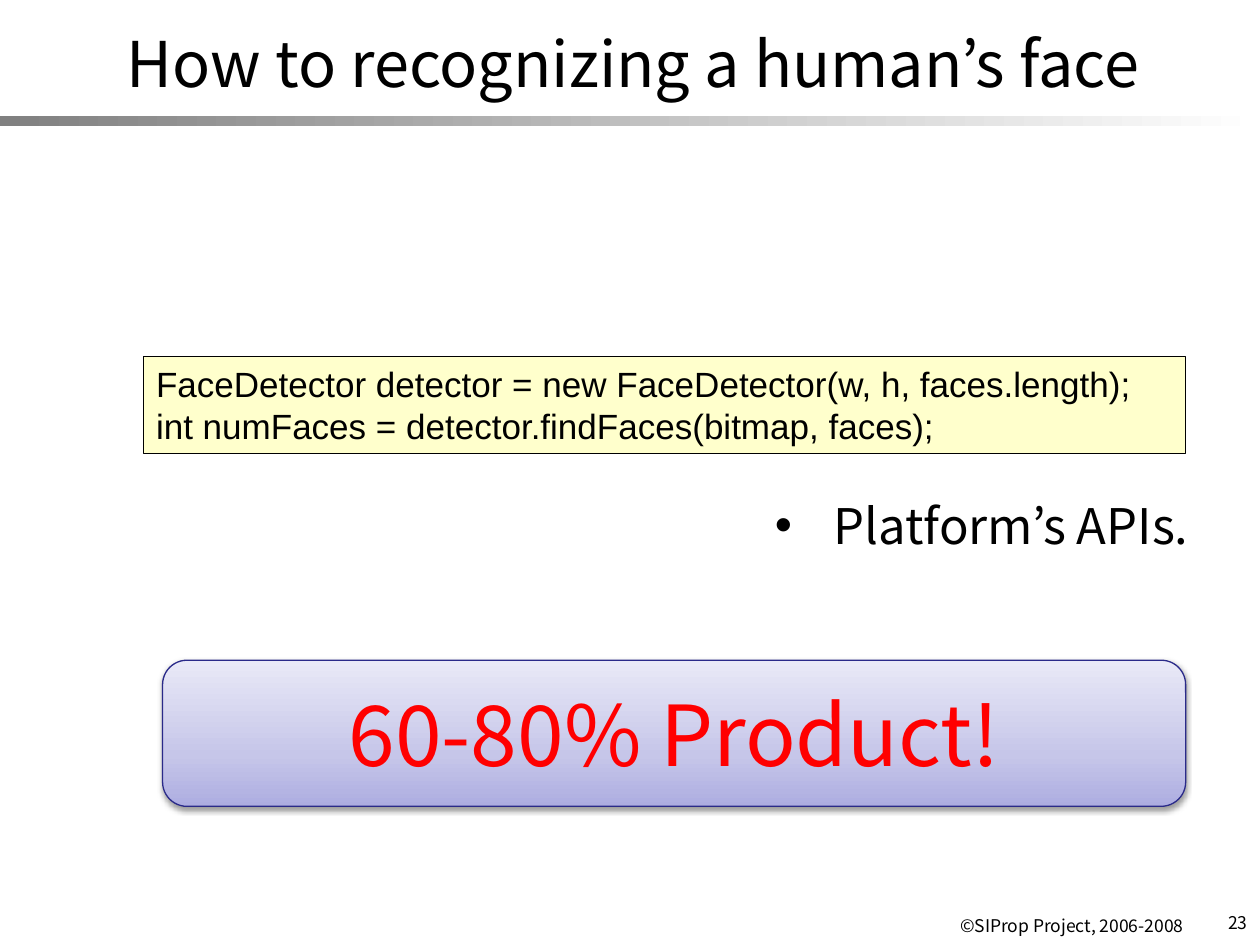
from copy import deepcopy

from lxml.etree import SubElement
from pptx import Presentation
from pptx.dml.color import RGBColor
from pptx.enum.shapes import MSO_SHAPE
from pptx.enum.text import MSO_ANCHOR, PP_ALIGN
from pptx.oxml.ns import qn
from pptx.util import Inches, Pt

BLACK = RGBColor(0, 0, 0)
WHITE = RGBColor(255, 255, 255)
GRAY = RGBColor(128, 128, 128)
RED = RGBColor(255, 0, 0)
CREAM = RGBColor(255, 255, 204)
NAVY = RGBColor(42, 42, 137)
LILAC = RGBColor(173, 173, 225)
PALE = RGBColor(198, 198, 233)
MIST = RGBColor(233, 233, 247)
SANS = "Noto Sans CJK JP"
CODE = "Arial"


def write(shape, text, size, font=SANS, color=BLACK, align=PP_ALIGN.LEFT,
          anchor=MSO_ANCHOR.TOP):
    frame = shape.text_frame
    frame.word_wrap = True
    frame.vertical_anchor = anchor
    frame.text = text
    for par in frame.paragraphs:
        par.alignment = align
        for run in par.runs:
            run.font.size = Pt(size)
            run.font.name = font
            run.font.color.rgb = color
            SubElement(run.font._element, qn("a:ea"), typeface=font)


def add_text(slide, area, text, size, **style):
    box = slide.shapes.add_textbox(*map(Inches, area))
    write(box, text, size, **style)
    return box


def add_block(slide, kind, area, line=None):
    shape = slide.shapes.add_shape(kind, *map(Inches, area))
    shape.shadow.inherit = False
    if line is None:
        shape.line.fill.background()
    else:
        shape.line.color.rgb = line
        shape.line.width = Pt(0.75)
    return shape


def blend(shape, stops, angle):
    fill = shape.fill
    fill.gradient()
    fill.gradient_angle = angle
    group = shape._element.spPr.find(".//" + qn("a:gsLst"))
    while len(group) < len(stops):
        group.append(deepcopy(group[-1]))
    for stop, (place, color) in zip(fill.gradient_stops, stops):
        stop.position = place
        stop.color.rgb = color


def add_shade(shape):
    group = shape._element.spPr.find(qn("a:effectLst"))
    shade = SubElement(group, qn("a:outerShdw"), blurRad=str(Pt(3.1)),
                       dist=str(Pt(1.6)), dir="5400000", rotWithShape="0")
    color = SubElement(shade, qn("a:srgbClr"), val=str(BLACK))
    SubElement(color, qn("a:alpha"), val="38000")


def add_bullet(par):
    props = par._p.get_or_add_pPr()
    hang = Inches(0.38)
    props.set("marL", str(hang))
    props.set("indent", str(-hang))
    SubElement(props, qn("a:buFont"), typeface=CODE)
    SubElement(props, qn("a:buChar"), char="•")


def main():
    deck = Presentation()
    deck.slide_width, deck.slide_height = Inches(10), Inches(7.5)
    slide = deck.slides.add_slide(deck.slide_layouts[6])

    rule = add_block(slide, MSO_SHAPE.RECTANGLE, (0, 0.92, 10, 0.08))
    blend(rule, [(0, GRAY), (1, WHITE)], 0)

    right = PP_ALIGN.RIGHT
    add_text(slide, (5.08, 7.21, 4.41, 0.32),
             "©SIProp Project, 2006-2008", 10, align=right)
    add_text(slide, (9.52, 7.19, 0.48, 0.31), "23", 10, align=right)
    add_text(slide, (0.91, 0, 8.5, 0.99),
             "How to recognizing a human’s face", 36, anchor=MSO_ANCHOR.MIDDLE)

    code = add_block(slide, MSO_SHAPE.RECTANGLE, (1.14, 2.83, 8.27, 0.77), BLACK)
    code.fill.solid()
    code.fill.fore_color.rgb = CREAM
    write(code, "FaceDetector detector = new FaceDetector(w, h, faces.length);\n"
                "int numFaces = detector.findFaces(bitmap, faces);", 20, font=CODE)

    note = add_text(slide, (1.03, 3.88, 8.5, 1.4), " Platform’s APIs.", 28, align=right)
    add_bullet(note.text_frame.paragraphs[0])

    claim = add_block(slide, MSO_SHAPE.ROUNDED_RECTANGLE,
                      (1.29, 5.24, 8.12, 1.16), NAVY)
    blend(claim, [(0, LILAC), (0.35, PALE), (1, MIST)], 90)
    add_shade(claim)
    write(claim, "60-80% Product!", 48, color=RED, align=PP_ALIGN.CENTER,
          anchor=MSO_ANCHOR.MIDDLE)

    deck.save("out.pptx")


if __name__ == "__main__":
    main()
